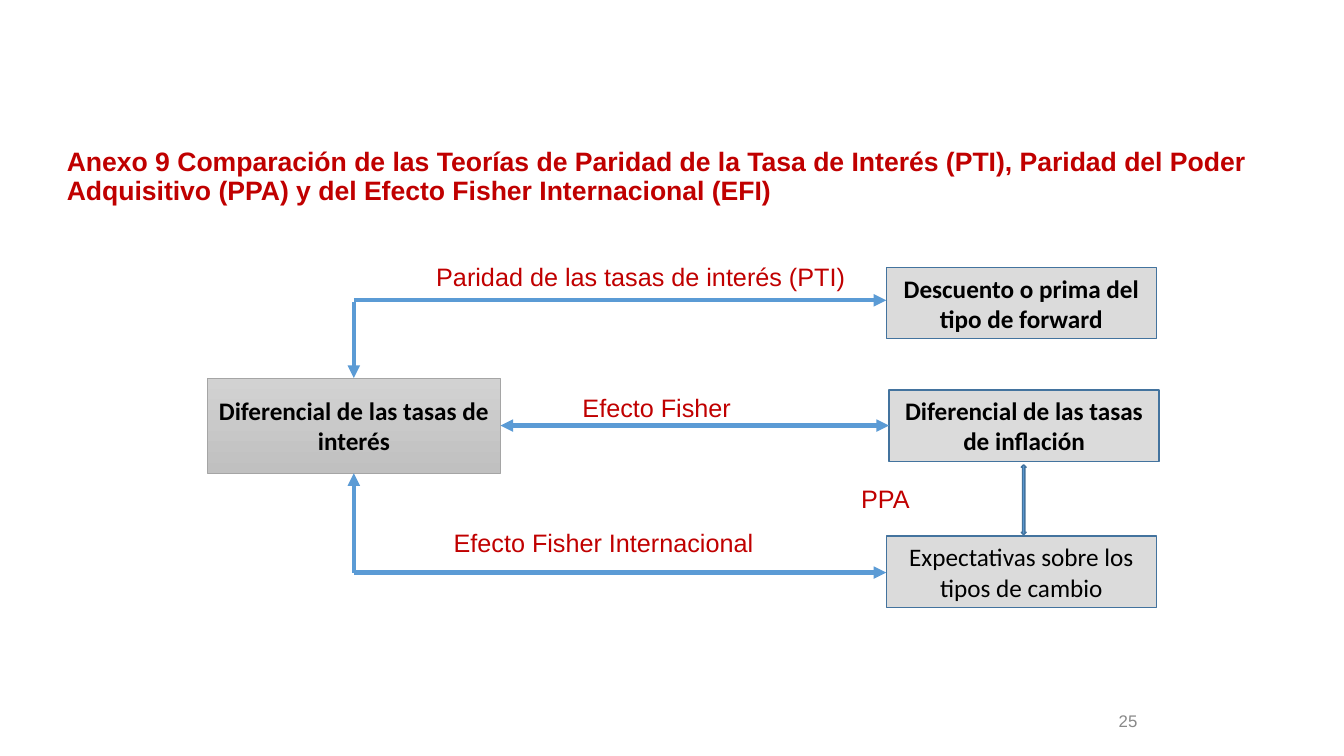
from dataclasses import dataclass

from lxml import etree
from pptx import Presentation
from pptx.dml.color import RGBColor
from pptx.enum.shapes import MSO_CONNECTOR, MSO_SHAPE
from pptx.enum.text import MSO_ANCHOR, MSO_AUTO_SIZE, PP_ALIGN
from pptx.oxml.ns import qn
from pptx.util import Pt

RECTANGLE = MSO_SHAPE.RECTANGLE
UP_DOWN_ARROW = MSO_SHAPE.UP_DOWN_ARROW
STRAIGHT = MSO_CONNECTOR.STRAIGHT
MIDDLE = MSO_ANCHOR.MIDDLE
NO_AUTOFIT = MSO_AUTO_SIZE.NONE
LEFT = PP_ALIGN.LEFT
CENTER = PP_ALIGN.CENTER
TITLE_ONLY = 5


@dataclass(frozen=True)
class Theme:
    heading_font: str = "Arial"
    concept_font: str = "Calibri"
    red: RGBColor = RGBColor(0xC0, 0x00, 0x00)
    black: RGBColor = RGBColor(0x00, 0x00, 0x00)
    muted: RGBColor = RGBColor(0x89, 0x89, 0x89)
    arrow: RGBColor = RGBColor(0x5B, 0x9B, 0xD5)
    outline: RGBColor = RGBColor(0x43, 0x73, 0x9E)
    panel: RGBColor = RGBColor(0xDB, 0xDB, 0xDB)
    source_top: RGBColor = RGBColor(0xD2, 0xD2, 0xD2)
    source_bottom: RGBColor = RGBColor(0xC0, 0xC0, 0xC0)
    source_outline: RGBColor = RGBColor(0xA5, 0xA5, 0xA5)
    title_size: int = 19
    text_size: int = 18
    number_size: int = 12


THEME = Theme()


def write(frame, text, font, size, color, bold=False, align=LEFT):
    frame.text = text
    paragraph = frame.paragraphs[0]
    paragraph.alignment = align
    for run in paragraph.runs:
        run.font.name = font
        run.font.size = Pt(size)
        run.font.color.rgb = color
        run.font.bold = bold


def set_title(slide, text, left, top, width, height):
    title = slide.shapes.title
    title.left, title.top = Pt(left), Pt(top)
    title.width, title.height = Pt(width), Pt(height)
    frame = title.text_frame
    frame.auto_size = NO_AUTOFIT
    frame.vertical_anchor = MIDDLE
    write(frame, text, THEME.heading_font, THEME.title_size, THEME.red, True)
    frame.paragraphs[0].line_spacing = 0.9
    frame.paragraphs[0].space_before = Pt(0)


def add_label(slide, text, left, top, width, height=29,
              size=THEME.text_size, color=THEME.red):
    label = slide.shapes.add_textbox(Pt(left), Pt(top), Pt(width), Pt(height))
    frame = label.text_frame
    frame.word_wrap = False
    write(frame, text, THEME.heading_font, size, color)
    return label


def add_outlined(slide, kind, left, top, width, height, fill,
                 outline=THEME.outline, weight=1):
    shape = slide.shapes.add_shape(kind, Pt(left), Pt(top), Pt(width), Pt(height))
    shape.shadow.inherit = False
    shape.fill.solid()
    shape.fill.fore_color.rgb = fill
    shape.line.color.rgb = outline
    shape.line.width = Pt(weight)
    return shape


def add_concept(slide, text, left, top, width=193, height=51, bold=True, **style):
    concept = add_outlined(slide, RECTANGLE, left, top, width, height,
                           THEME.panel, **style)
    frame = concept.text_frame
    frame.word_wrap = True
    frame.vertical_anchor = MIDDLE
    write(frame, text, THEME.concept_font, THEME.text_size, THEME.black, bold, CENTER)
    return concept


def shade_vertically(shape, top_color, bottom_color):
    shape.fill.gradient()
    shape.fill.gradient_angle = 270
    for stop, color, position in zip(shape.fill.gradient_stops,
                                     (top_color, bottom_color), (0, 1)):
        stop.color.rgb = color
        stop.position = position


def add_arrow(slide, start, end, double=False):
    arrow = slide.shapes.add_connector(STRAIGHT, *map(Pt, start + end))
    arrow.line.color.rgb = THEME.arrow
    arrow.line.width = Pt(3)
    line = arrow.line._get_or_add_ln()
    for tip in ("a:headEnd", "a:tailEnd") if double else ("a:tailEnd",):
        etree.SubElement(line, qn(tip)).set("type", "triangle")
    etree.SubElement(arrow._element.spPr, qn("a:effectLst"))


def main():
    presentation = Presentation()
    presentation.slide_width, presentation.slide_height = Pt(960), Pt(540)
    slide = presentation.slides.add_slide(presentation.slide_layouts[TITLE_ONLY])

    set_title(slide, "Anexo 9 Comparación de las Teorías de Paridad de la Tasa de "
              "Interés (PTI), Paridad del Poder Adquisitivo (PPA) y del Efecto "
              "Fisher Internacional (EFI)", 40.5, 98, 888.5, 57)
    page_number = add_label(slide, "25", 792, 500.5, 168,
                            size=THEME.number_size, color=THEME.muted)
    page_number.text_frame.vertical_anchor = MIDDLE

    interest = add_concept(slide, "Diferencial de las tasas de interés",
                           148, 270, 209.5, 68,
                           outline=THEME.source_outline, weight=0.5)
    shade_vertically(interest, THEME.source_top, THEME.source_bottom)
    for text, left, top, bold in (
        ("Descuento o prima del tipo de forward", 633, 191, True),
        ("Diferencial de las tasas de inflación", 635, 278.5, True),
        ("Expectativas sobre los tipos de cambio", 633, 383, False),
    ):
        add_concept(slide, text, left, top, bold=bold)

    axis, forward_y, fisher_y, exchange_y = 252.75, 214.5, 304, 409
    for start, end, double in (
        ((axis, exchange_y), (axis, 338), False),
        ((axis, exchange_y), (633, exchange_y), False),
        ((357.5, fisher_y), (635, fisher_y), True),
        ((axis, forward_y), (633, forward_y), False),
        ((axis, 216), (axis, 270), False),
    ):
        add_arrow(slide, start, end, double)
    add_outlined(slide, UP_DOWN_ARROW, 729.5, 332, 3.5, 50, THEME.arrow)

    for text, left, top, width in (
        ("Paridad de las tasas de interés (PTI)", 304.5, 183, 314.5),
        ("Efecto Fisher", 409, 277, 121.5),
        ("Efecto Fisher Internacional", 317, 373, 230.5),
        ("PPA", 608, 342, 49.5),
    ):
        add_label(slide, text, left, top, width)

    presentation.save("out.pptx")


if __name__ == "__main__":
    main()
